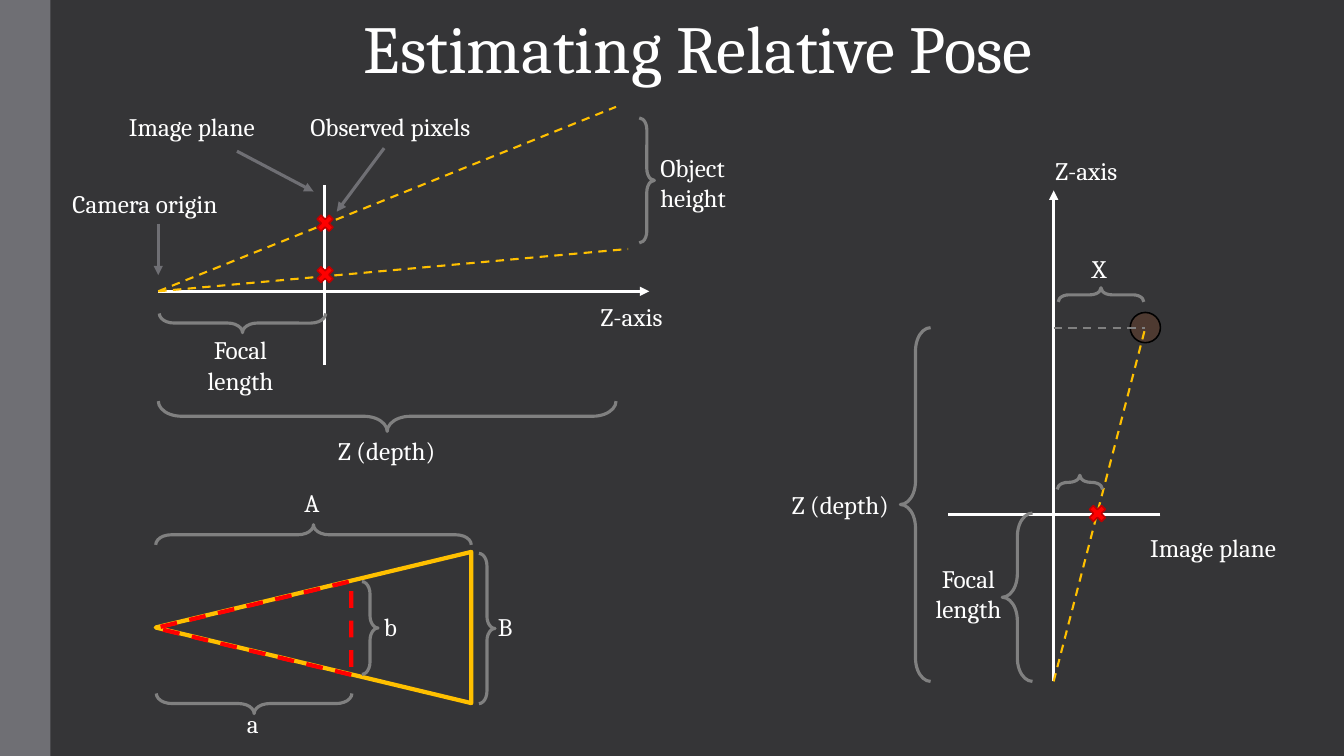
"""Build the slide on estimating relative pose with similar triangles."""
from lxml import etree
from pptx import Presentation
from pptx import util as u
from pptx.dml.color import RGBColor
from pptx.enum import dml, shapes, text
from pptx.oxml.ns import qn

COLORS = {
    "background": "353537", "sidebar": "6F6F74", "white": "FFFFFF",
    "ray": "FFC000", "brace": "808080", "red": "FF0000", "dark_red": "C00000",
    "object": "4E3A31", "black": "000000",
}
RGB = {name: RGBColor.from_string(value) for name, value in COLORS.items()}

presentation = Presentation()
presentation.slide_width = u.Inches(13.33)
presentation.slide_height = u.Inches(7.5)
slide = presentation.slides.add_slide(presentation.slide_layouts[6])
slide.background.fill.solid()
slide.background.fill.fore_color.rgb = RGB["background"]


def add_shape(kind, box, fill=None, line=None, width=2.25, rotation=0):
    """Add a preset shape without shadow, rotated about its centre."""
    shape = slide.shapes.add_shape(kind, *map(u.Inches, box))
    shape.shadow.inherit = False
    shape.rotation = rotation
    if fill:
        shape.fill.solid()
        shape.fill.fore_color.rgb = RGB[fill]
    else:
        shape.fill.background()
    if line:
        shape.line.color.rgb = RGB[line]
        shape.line.width = u.Pt(width)
    else:
        shape.line.fill.background()
    return shape


def add_label(words, box, size=18, wrap=False, align=text.PP_ALIGN.LEFT):
    """Add a white text box."""
    frame = slide.shapes.add_textbox(*map(u.Inches, box)).text_frame
    frame.word_wrap = wrap
    frame.auto_size = text.MSO_AUTO_SIZE.SHAPE_TO_FIT_TEXT
    paragraph = frame.paragraphs[0]
    paragraph.alignment = align
    run = paragraph.add_run()
    run.text = words
    run.font.name = "Cambria"
    run.font.size = u.Pt(size)
    run.font.color.rgb = RGB["white"]


PRESET = shapes.MSO_SHAPE
add_shape(PRESET.RECTANGLE, (0, 0, 0.5, 7.5), fill="sidebar")
add_shape(PRESET.OVAL, (11.21, 3.1, 0.3, 0.3), "object", "black", 1.1)

camera, top_camera = (1.57, 2.89), (10.45, 6.76)
object_left, object_center = (10.45, 3.25), (11.36, 3.25)
lines = [
    ((3.22, 3.62), (3.22, 1.84), "white", "solid"),
    (camera, (6.44, 2.89), "white", "arrow"),
    (camera, (6.23, 2.47), "ray", "dash"),
    (camera, (6.11, 1.06), "ray", "dash"),
    ((1.57, 2.22), (1.57, 2.73), "sidebar", "arrow"),
    ((3.81, 1.47), (3.34, 2.1), "sidebar", "arrow"),
    ((2.35, 1.5), (3.11, 1.9), "sidebar", "arrow"),
    ((11.51, 5.1), (9.4, 5.1), "white", "solid"),
    (top_camera, (10.45, 1.89), "white", "arrow"),
    (top_camera, object_center, "ray", "dash"),
    (object_left, object_center, "brace", "dash"),
]
for start, end, color, style in lines:
    connector = slide.shapes.add_connector(
        shapes.MSO_CONNECTOR.STRAIGHT, *map(u.Inches, start + end))
    connector.line.color.rgb = RGB[color]
    connector.line.width = u.Pt(1.5 if style == "dash" else 2.25)
    if style == "dash":
        connector.line.dash_style = dml.MSO_LINE.DASH
    if style == "arrow":
        outline = connector.line._get_or_add_ln()
        etree.SubElement(outline, qn("a:tailEnd"), type="triangle")
    etree.SubElement(connector._element.spPr, qn("a:effectLst"))

for left, top in [(3.11, 2.1), (3.11, 2.61), (10.77, 4.98)]:
    add_shape(PRESET.MATH_MULTIPLY, (left, top, 0.23, 0.23), "red", "dark_red", 1.1)

add_shape(PRESET.ISOSCELES_TRIANGLE, (2.36, 4.66, 1.5, 3.13),
          line="ray", width=3, rotation=270)
small_triangle = add_shape(PRESET.ISOSCELES_TRIANGLE, (2.05, 5.26, 0.93, 1.94),
                           line="red", width=3, rotation=270)
small_triangle.line.dash_style = dml.MSO_LINE.DASH

braces = [
    ((2.31, 2.38, 0.19, 1.65), 90),
    ((3.69, 1.86, 0.3, 4.54), 90),
    ((6.34, 1.17, 0.15, 1.24), 0),
    ((3.59, 5.77, 0.16, 0.92), 0),
    ((4.75, 5.49, 0.16, 1.49), 0),
    ((2.42, 6.01, 0.2, 1.94), 90),
    ((3.01, 3.74, 0.2, 3.13), 270),
    ((10.85, 2.5, 0.14, 0.85), 270),
    ((8.93, 3.25, 0.3, 3.51), 180),
    ((10.64, 4.56, 0.14, 0.45), 270),
    ((9.94, 5.09, 0.3, 1.67), 180),
]
for box, rotation in braces:
    brace = add_shape(PRESET.RIGHT_BRACE, box, line="brace", rotation=rotation)
    brace.adjustments[0] = 0.772

single_line_labels = [
    ("Camera origin", 0.62, 1.82, 1.88),
    ("Image plane", 1.18, 1.06, 1.65),
    ("Z-axis", 5.86, 2.94, 0.91),
    ("Observed pixels", 2.98, 1.06, 2.05),
    ("Z-axis", 10.37, 1.49, 0.91),
    ("Image plane", 11.31, 5.23, 1.65),
    ("X", 10.73, 2.46, 0.38),
]
for words, left, top, width in single_line_labels:
    add_label(words, (left, top, width, 0.4))

for letter, left, top in [("A", 2.92, 4.79), ("B", 4.84, 6.02),
                          ("a", 2.35, 6.98), ("b", 3.71, 6.02)]:
    add_label(letter, (left, top, 0.39, 0.4), wrap=True)

add_label("Object height", (6.45, 1.46, 1.19, 0.71), wrap=True)
for words, left, top, height in [("Focal length", 1.7, 3.27, 0.71),
                                 ("Z (depth)", 3.15, 4.27, 0.4),
                                 ("Z (depth)", 7.65, 4.81, 0.4),
                                 ("Focal length", 8.92, 5.54, 0.71)]:
    add_label(words, (left, top, 1.37, height), wrap=True,
              align=text.PP_ALIGN.CENTER)

add_label("Estimating Relative Pose", (0.52, 0.01, 12.81, 0.91), size=48,
          wrap=True, align=text.PP_ALIGN.CENTER)

presentation.save("out.pptx")
